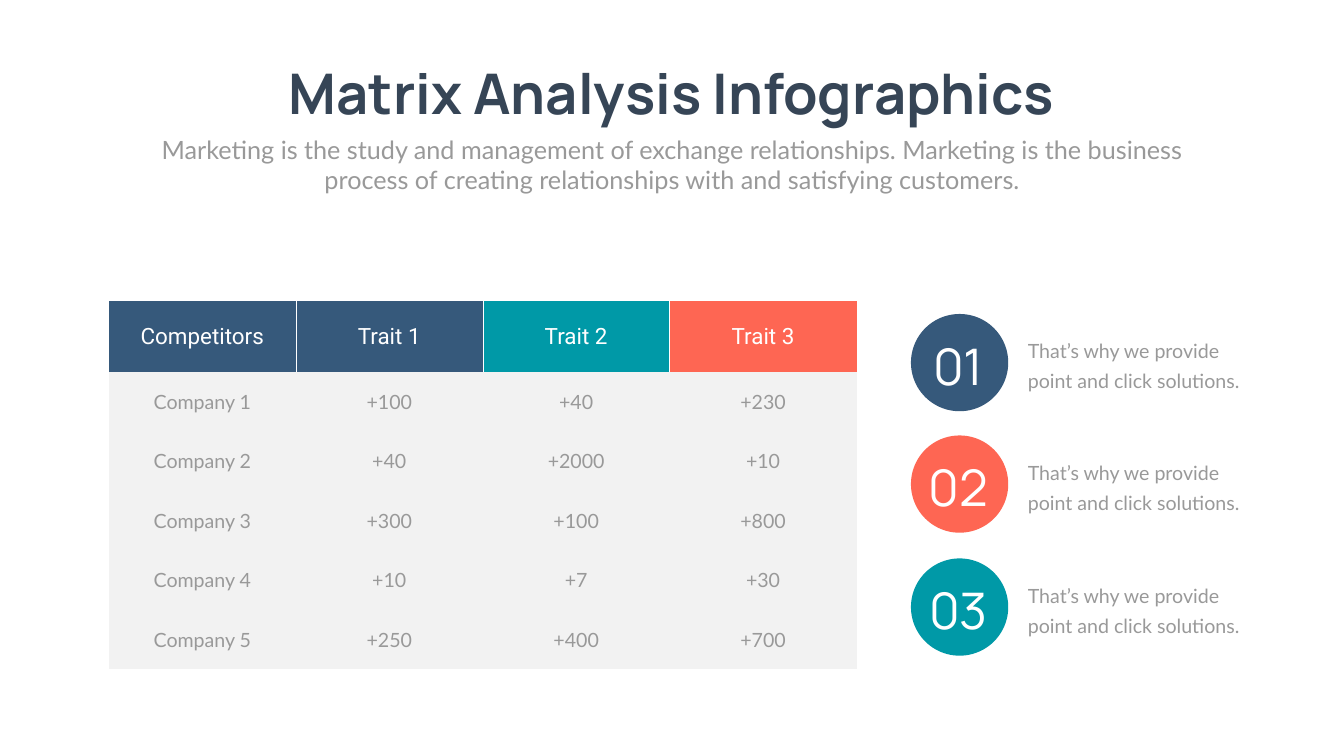
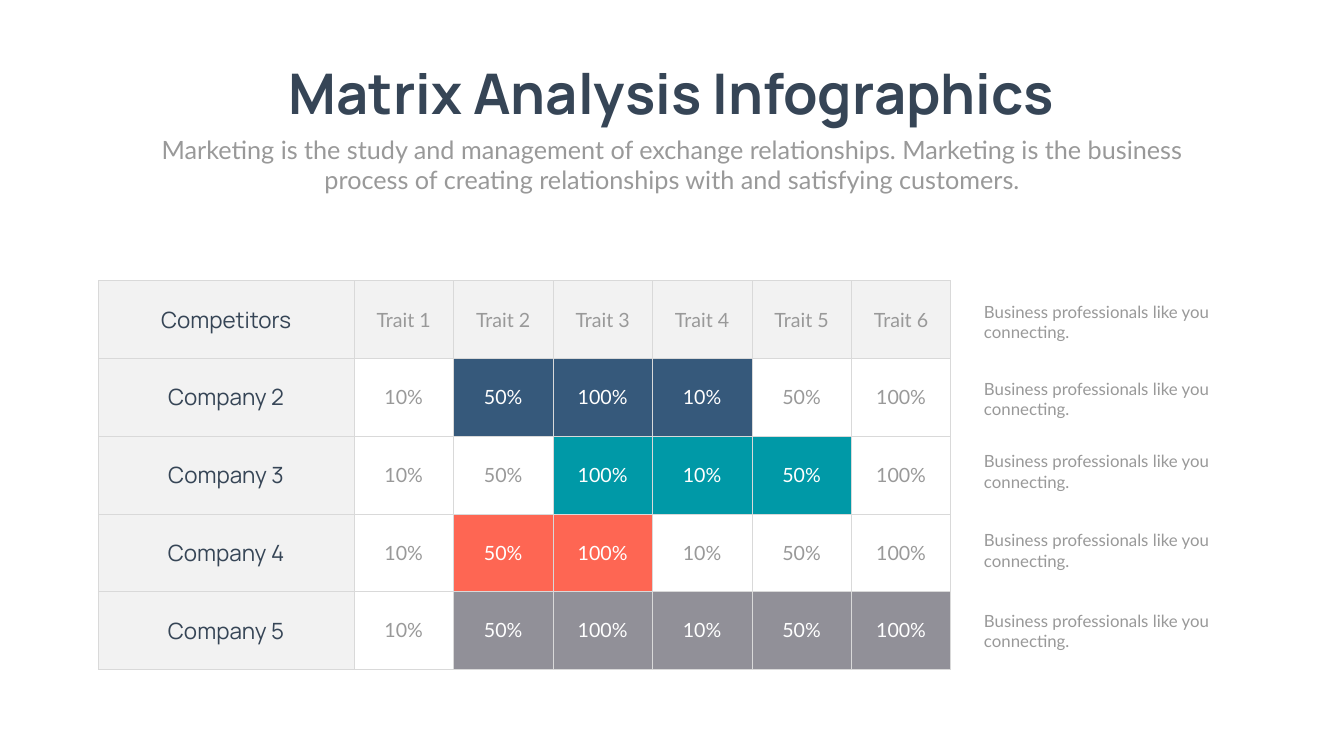
from lxml import etree
from pptx import Presentation
from pptx.dml.color import RGBColor
from pptx.enum.shapes import MSO_SHAPE as Shape
from pptx.enum.text import MSO_ANCHOR as Anchor, MSO_AUTO_SIZE as Auto, PP_ALIGN as Align
from pptx.oxml.ns import qn
from pptx.util import Emu, Pt

PX = 9144  # 100 px to the inch

NAVY, TEAL, CORAL, SLATE = "36597B", "0099A7", "FE6653", "919098"
INK, GRAY, PALE, RULE, WHITE = "364556", "999999", "F2F2F2", "D9D9D9", "FFFFFF"

# Text styles: size, font, colour
TITLE = (80, "Manrope", INK)
LEAD = (36, "Lato", GRAY)
NOTE = (24, "Lato", GRAY)
BODY = (28, "Lato", GRAY)
LIT = (28, "Lato", WHITE)
HEAD = (32, "Roboto", WHITE)
NAME = (32, "Manrope", INK)
DIGIT = (72, "Manrope", WHITE)


def px(n):
    return Emu(round(n * PX))


def rgb(code):
    return RGBColor.from_string(code)


def write(frame, text, style, align=Align.LEFT, bold=False, space=None):
    para = frame.paragraphs[0]
    para.alignment = align
    if space:
        para.line_spacing = Pt(space)
    run = para.add_run()
    run.text = text
    size, face, color = style
    run.font.size = Pt(size)
    run.font.name = face
    run.font.bold = bold
    run.font.color.rgb = rgb(color)


def label(slide, box, text, style, wrap=True, **look):
    frame = slide.shapes.add_textbox(*map(px, box)).text_frame
    frame.word_wrap = wrap
    frame.auto_size = Auto.SHAPE_TO_FIT_TEXT
    write(frame, text, style, **look)


def disc(slide, left, top, size, color):
    dot = slide.shapes.add_shape(Shape.OVAL, *map(px, (left, top, size, size)))
    dot.shadow.inherit = False
    dot.fill.solid()
    dot.fill.fore_color.rgb = rgb(color)
    dot.line.fill.background()


def edge(cell, side, line):
    """Draw one cell border; line is (colour, points), or None for no border."""
    ln = etree.SubElement(cell._tc.get_or_add_tcPr(), qn(f"a:ln{side}"))
    if line:
        color, width = line
        ln.set("w", str(Pt(width)))
        fill = etree.SubElement(ln, qn("a:solidFill"))
        etree.SubElement(fill, qn("a:srgbClr")).set("val", color)
    else:
        etree.SubElement(ln, qn("a:noFill"))


def grid(slide, box, rows, look, lines, head=0):
    """Add a table; look and lines give style and borders by row and column.

    Rows share the height equally, after a first row of height head if given.
    """
    tall, wide = len(rows), len(rows[0])
    table = slide.shapes.add_table(tall, wide, *map(px, box)).table
    table.first_row = table.horz_banding = False
    for col in table.columns:
        col.width = px(box[2] / wide)
    each = (box[3] - head) / (tall - bool(head))
    for r, row in enumerate(rows):
        table.rows[r].height = px(head if head and r == 0 else each)
        for c, text in enumerate(row):
            cell = table.cell(r, c)
            style, fill = look(r, c)
            sides = lines(r, c)
            for side in "LRTB":
                edge(cell, side, sides.get(side))
            cell.fill.solid()
            cell.fill.fore_color.rgb = rgb(fill)
            cell.vertical_anchor = Anchor.MIDDLE
            write(cell.text_frame, text, style, Align.CENTER)


def banner(slide):
    label(slide, (497, 112, 1671, 145), "Matrix Analysis Infographics", TITLE,
          wrap=False, align=Align.CENTER, bold=True)
    label(slide, (292, 261, 2082, 131),
          "Marketing is the study and management of exchange relationships. "
          "Marketing is the business process of creating relationships with "
          "and satisfying customers.", LEAD, align=Align.CENTER)


def scores(slide):
    rows = [
        ["Competitors", "Trait 1", "Trait 2", "Trait 3"],
        ["Company 1", "+100", "+40", "+230"],
        ["Company 2", "+40", "+2000", "+10"],
        ["Company 3", "+300", "+100", "+800"],
        ["Company 4", "+10", "+7", "+30"],
        ["Company 5", "+250", "+400", "+700"],
    ]
    tops = [NAVY, NAVY, TEAL, CORAL]
    thin = (WHITE, 0.5)

    def look(r, c):
        return (BODY, PALE) if r else (HEAD, tops[c])

    def lines(r, c):
        if r:
            return {}
        return {"L": thin if c > 0 else None, "R": thin if c < 3 else None}

    grid(slide, (216, 597, 1483, 731), rows, look, lines, head=141)
    for i, (top, color) in enumerate([(623, NAVY), (864, CORAL), (1108, TEAL)], 1):
        disc(slide, 1807, top, 193, color)
        label(slide, (1819, top + 37, 164, 131), f"{i:02}", DIGIT, align=Align.CENTER)
        label(slide, (2029, top + 32, 459, 124),
              "That’s why we provide point and click solutions.", BODY, space=43)
    banner(slide)


def shares(slide):
    rows = [[f"Trait {i}" for i in range(1, 7)]]
    rows += [["10%", "50%", "100%", "10%", "50%", "100%"]] * 4
    names = [["Competitors"]] + [[f"Company {i}"] for i in range(2, 6)]
    # Coloured span of each company row: colour, first and last column
    spans = {1: (NAVY, 1, 3), 2: (TEAL, 2, 4), 3: (CORAL, 1, 2), 4: (SLATE, 1, 5)}

    def look(r, c):
        if r == 0:
            return BODY, PALE
        color, first, last = spans[r]
        return (LIT, color) if first <= c <= last else (BODY, WHITE)

    def lines(r, c):
        return dict.fromkeys("LRTB", (RULE, 1))

    grid(slide, (702, 557, 1184, 771), rows, look, lines)
    grid(slide, (195, 557, 507, 771), names, lambda r, c: (NAME, PALE), lines)
    for top in (593, 747, 890, 1047, 1206):
        label(slide, (1942, top, 529, 91),
              "Business professionals like you connecting.", NOTE)
    banner(slide)


def main():
    deck = Presentation()
    deck.slide_width, deck.slide_height = px(2666), px(1500)
    for build in (scores, shares):
        build(deck.slides.add_slide(deck.slide_layouts[6]))
    deck.save("out.pptx")


if __name__ == "__main__":
    main()
